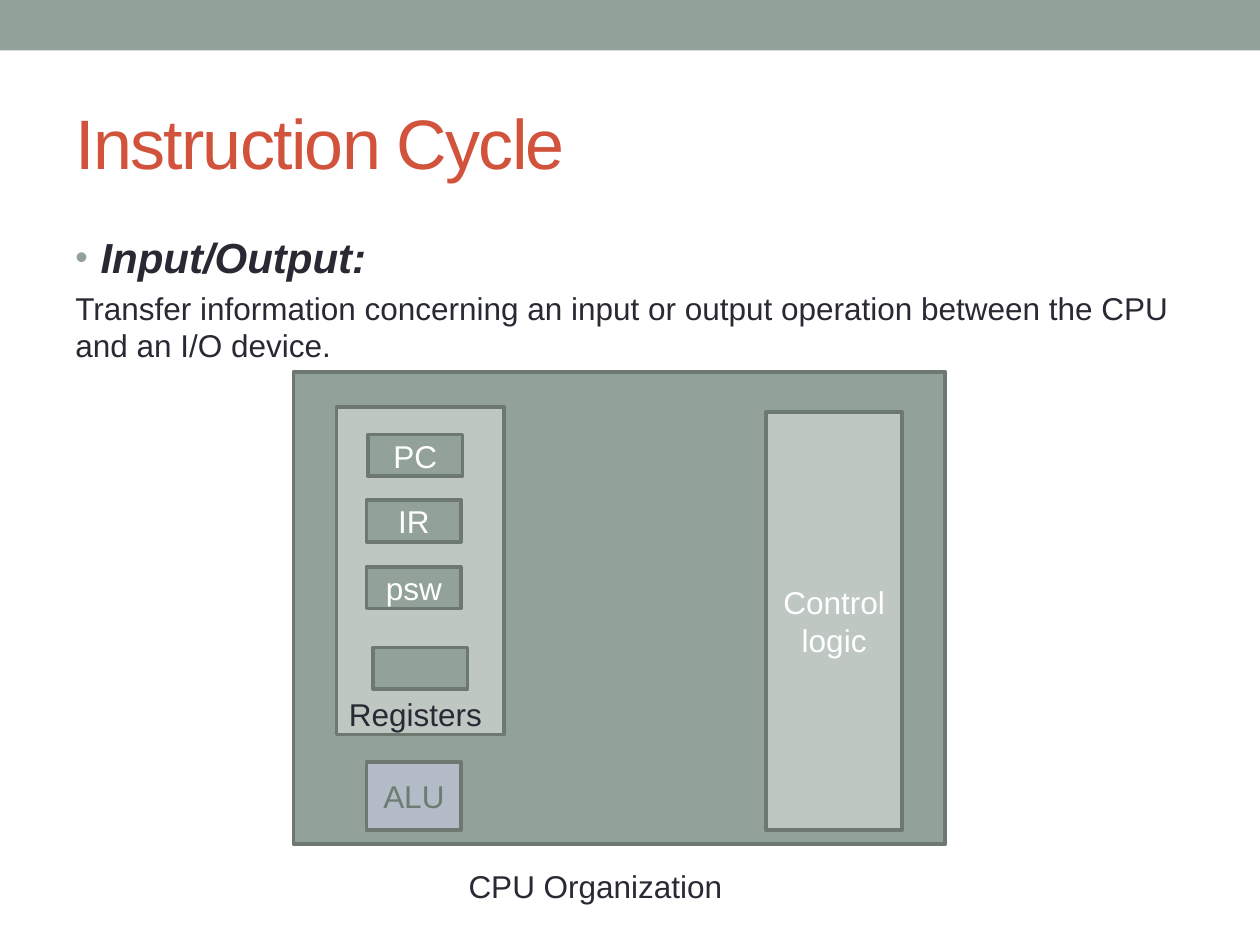
"""Build the Instruction Cycle slide with a CPU organization diagram."""
from lxml.etree import SubElement
from pptx import Presentation
from pptx.dml.color import RGBColor
from pptx.enum.shapes import MSO_SHAPE
from pptx.enum.text import MSO_ANCHOR, PP_ALIGN
from pptx.oxml.ns import qn
from pptx.util import Inches, Pt

SAGE = RGBColor(0x93, 0xA2, 0x99)
PALE_SAGE = RGBColor(0xBE, 0xC7, 0xC2)
DARK_SAGE = RGBColor(0x6D, 0x78, 0x71)
ALU_FILL = RGBColor(0xB3, 0xBB, 0xC6)
ALU_TEXT = RGBColor(0x6B, 0x7D, 0x72)
INK = RGBColor(0x29, 0x29, 0x34)
RED = RGBColor(0xD2, 0x53, 0x3C)
WHITE = RGBColor(0xFF, 0xFF, 0xFF)

TITLE = "Instruction Cycle"
HEADING = "Input/Output:"
EXPLANATION = ("Transfer information concerning an input or output operation "
               "between the CPU and an I/O device.")
REGISTER_SIZE = (0.75, 0.33)
REGISTERS = [("PC", 2.92, 3.45), ("IR", 2.91, 3.97), ("psw", 2.91, 4.5), ("", 2.96, 5.14)]
BLOCKS = [
    ("", (2.33, 2.95, 5.17, 3.75), SAGE, WHITE),
    ("Control\nlogic", (6.08, 3.27, 1.08, 3.32), PALE_SAGE, WHITE),
    ("", (2.67, 3.23, 1.33, 2.6), PALE_SAGE, WHITE),
    *[(name, (left, top, *REGISTER_SIZE), SAGE, WHITE) for name, left, top in REGISTERS],
    ("ALU", (2.91, 6.05, 0.75, 0.54), ALU_FILL, ALU_TEXT),
]
CAPTIONS = [
    ("Registers", (2.67, 5.47, 1.42, 0.4)),
    ("CPU Organization", (3.62, 6.83, 2.25, 0.4)),
]


def style(paragraph, size, color, align=PP_ALIGN.LEFT):
    paragraph.alignment = align
    for run in paragraph.runs:
        run.font.name = "Arial"
        run.font.size = Pt(size)
        run.font.color.rgb = color


def add_block(slide, label, box, fill, color, outlined=True):
    block = slide.shapes.add_shape(MSO_SHAPE.RECTANGLE, *map(Inches, box))
    block.shadow.inherit = False
    block.fill.solid()
    block.fill.fore_color.rgb = fill
    if outlined:
        block.line.color.rgb = DARK_SAGE
        block.line.width = Pt(2.08)
    else:
        block.line.fill.background()
    if label:
        block.text_frame.text = label
        block.text_frame.vertical_anchor = MSO_ANCHOR.MIDDLE
        for paragraph in block.text_frame.paragraphs:
            style(paragraph, 18, color, PP_ALIGN.CENTER)


def add_text(slide, text, box):
    frame = slide.shapes.add_textbox(*map(Inches, box)).text_frame
    frame.word_wrap = True
    frame.text = text
    for paragraph in frame.paragraphs:
        style(paragraph, 18, INK)
    return frame


def add_bullet(paragraph):
    properties = paragraph._p.get_or_add_pPr()
    properties.set("marL", str(Inches(0.2)))
    properties.set("indent", str(-Inches(0.2)))
    bullet_color = SubElement(properties, qn("a:buClr"))
    SubElement(bullet_color, qn("a:srgbClr"), val=str(SAGE))
    SubElement(properties, qn("a:buSzPct"), val="85000")
    SubElement(properties, qn("a:buFont"), typeface="Arial")
    SubElement(properties, qn("a:buChar"), char="•")


def add_title(slide):
    title = slide.shapes.title
    title.left, title.top, title.width, title.height = map(Inches, (0.5, 0.58, 9, 1.08))
    title.text_frame.text = TITLE
    title.text_frame.vertical_anchor = MSO_ANCHOR.MIDDLE
    heading = title.text_frame.paragraphs[0]
    style(heading, 40, RED)
    heading.runs[0]._r.get_or_add_rPr().set("spc", "-100")


def add_body(slide):
    body = add_text(slide, f"{HEADING}\n{EXPLANATION}", (0.5, 1.75, 9, 1.2))
    body.margin_top = Inches(0.09)
    heading, explanation = body.paragraphs
    add_bullet(heading)
    style(heading, 24, INK)
    heading.runs[0].font.bold = True
    heading.runs[0].font.italic = True
    explanation.space_before = Pt(3.6)


def main():
    deck = Presentation()
    deck.slide_width, deck.slide_height = Inches(10), Inches(7.5)
    slide = deck.slides.add_slide(deck.slide_layouts[5])
    add_block(slide, "", (0, 0, 10, 0.4), SAGE, WHITE, outlined=False)
    add_title(slide)
    add_body(slide)
    for block in BLOCKS:
        add_block(slide, *block)
    for caption in CAPTIONS:
        add_text(slide, *caption)
    deck.save("out.pptx")


if __name__ == "__main__":
    main()
